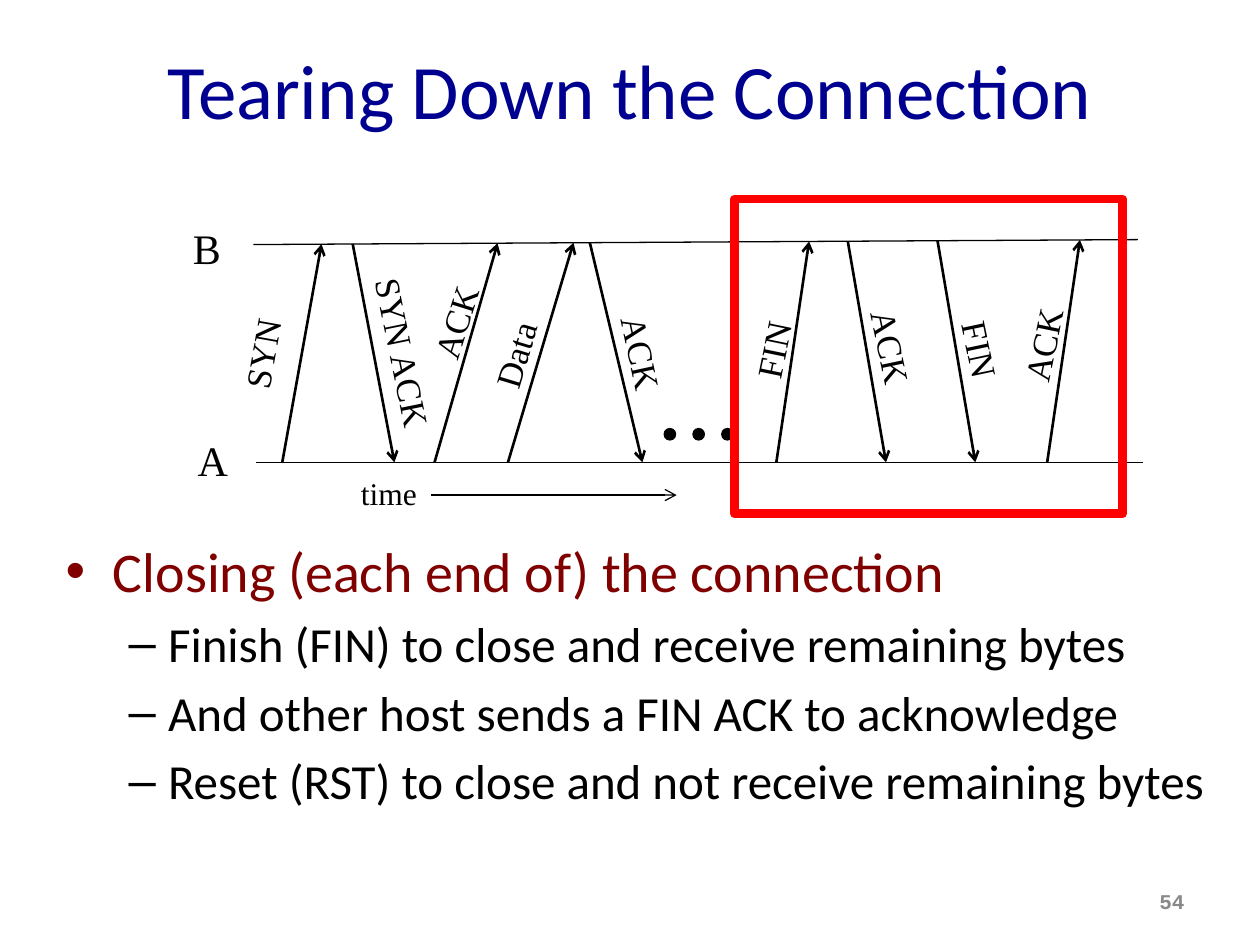
"""Build the slide on tearing down a TCP connection."""
from lxml.etree import SubElement
from pptx import Presentation
from pptx.dml.color import RGBColor
from pptx.enum.shapes import MSO_CONNECTOR, MSO_SHAPE
from pptx.enum.text import MSO_ANCHOR, MSO_AUTO_SIZE, PP_ALIGN
from pptx.oxml.ns import qn
from pptx.util import Cm, Pt

TITLE = "Tearing Down the Connection"
POINTS = [
    (0, "Closing (each end of) the connection"),
    (1, "Finish (FIN) to close and receive remaining bytes"),
    (1, "And other host sends a FIN ACK to acknowledge"),
    (1, "Reset (RST) to close and not receive remaining bytes"),
]
# label, sender, start x, end x, label centre x, label centre y, label angle
FLOWS = [
    ("SYN", "A", 5.69, 6.48, 5.28, 7.12, -79.9),
    ("SYN ACK", "B", 7.11, 7.95, 8.13, 7.1, 78.5),
    ("ACK", "A", 8.76, 10.03, 9.18, 6.49, -72.6),
    ("Data", "A", 10.24, 11.56, 10.38, 7.15, -73.3),
    ("ACK", "B", 11.89, 12.95, 12.94, 7.12, 77.9),
    ("FIN", "A", 15.65, 16.31, 15.58, 7.05, -78.4),
    ("ACK", "B", 17.09, 17.86, 17.97, 7, 78.1),
    ("FIN", "B", 18.9, 19.66, 19.77, 7.05, 78.1),
    ("ACK", "A", 21.11, 21.77, 21.02, 6.95, -78.4),
]
WIDTHS = {"SYN": 1.93, "SYN ACK": 3.61, "ACK": 2.01, "Data": 1.85, "FIN": 1.65}
HOSTS = {"B": ((5.11, 4.93), (22.94, 4.83)), "A": ((5.16, 9.32), (23.04, 9.32))}
MARKS = [("A", 4.29, 9.27, 1.12, 1.27, "host"),
         ("B", 4.17, 5, 1.07, 1.27, "host"),
         ("time", 7.84, 9.93, 1.65, 1.02, "time")]
CLOCK = ((8.69, 9.98), (13.64, 9.98))
DOTS = {"left": 13.39, "top": 8.64, "step": 0.58, "size": 0.23, "count": 3}
FRAME = (14.81, 4.01, 7.82, 6.35)
PAGE = "54"

THEME = {
    "sans": "Calibri", "serif": "Times New Roman", "mono": "Courier New",
    "navy": "000090", "maroon": "800000", "black": "000000",
    "grey": "898989", "red": "FF0000",
    "title": 44, "list": (32, 28), "host": 24, "flow": 20, "time": 18, "page": 12,
    "thin": 0.75, "bold": 1.5, "frame": 5,
}


def paint(name):
    return RGBColor.from_string(THEME[name])


def place(shape, *box):
    shape.left, shape.top, shape.width, shape.height = map(Cm, box)


def style(para, face, size, color, align=None):
    para.font.name, para.font.size = THEME[face], Pt(size)
    para.font.color.rgb = paint(color)
    para.alignment = align


def label(shapes, text, x, y, wide, high, size, angle=0):
    box = shapes.add_textbox(Cm(x - wide / 2), Cm(y - high / 2), Cm(wide), Cm(high))
    box.rotation = angle
    frame = box.text_frame
    frame.word_wrap, frame.vertical_anchor = False, MSO_ANCHOR.MIDDLE
    frame.text = text
    style(frame.paragraphs[0], "serif", THEME[size], "black", PP_ALIGN.CENTER)


def link(shapes, start, end, weight, arrow=False):
    line = shapes.add_connector(MSO_CONNECTOR.STRAIGHT, *map(Cm, (*start, *end)))
    line.line.color.rgb, line.line.width = paint("black"), Pt(THEME[weight])
    if arrow:
        SubElement(line.line._get_or_add_ln(), qn("a:tailEnd"), type="arrow")
    SubElement(line._element.spPr, qn("a:effectLst"))


def level(host, x):
    (left, top), (right, base) = HOSTS[host]
    return top + (base - top) * (x - left) / (right - left)


def words(slide):
    title, body = slide.shapes.title, slide.placeholders[1]
    place(title, 1.27, 0.2, 22.86, 3.18)
    title.text_frame.text = TITLE
    style(title.text_frame.paragraphs[0], "sans", THEME["title"], "navy", PP_ALIGN.CENTER)
    place(body, 1.07, 10.69, 23.5, 5.38)
    frame = body.text_frame
    frame.text = "\n".join(text for _, text in POINTS)
    frame.auto_size = MSO_AUTO_SIZE.NONE
    for para, (depth, _) in zip(frame.paragraphs, POINTS):
        para.level = depth
        style(para, "sans", THEME["list"][depth], ("maroon", "black")[depth])


def chart(shapes):
    for start, end in HOSTS.values():
        link(shapes, start, end, "thin")
    for text, host, begin, stop, x, y, angle in FLOWS:
        peer = "B" if host == "A" else "A"
        link(shapes, (begin, level(host, begin)), (stop, level(peer, stop)), "bold", True)
        label(shapes, text, x, y, WIDTHS[text], 1.09, "flow", angle)
    link(shapes, *CLOCK, "thin", True)
    for mark in MARKS:
        label(shapes, *mark)


def accents(shapes):
    for i in range(DOTS["count"]):
        spot = (DOTS["left"] + i * DOTS["step"], DOTS["top"], DOTS["size"], DOTS["size"])
        dot = shapes.add_shape(MSO_SHAPE.OVAL, *map(Cm, spot))
        dot.shadow.inherit = False
        dot.fill.solid()
        dot.fill.fore_color.rgb = dot.line.color.rgb = paint("black")
        dot.line.width = Pt(THEME["thin"])
    frame = shapes.add_shape(MSO_SHAPE.RECTANGLE, *map(Cm, FRAME))
    frame.shadow.inherit = False
    frame.fill.background()
    frame.line.color.rgb, frame.line.width = paint("red"), Pt(THEME["frame"])
    SubElement(frame.line._get_or_add_ln(), qn("a:round"))


def number(shapes):
    box = shapes.add_textbox(Cm(18.21), Cm(17.65), Cm(5.92), Cm(1.02))
    box.text_frame.word_wrap = True
    box.text_frame.vertical_anchor = MSO_ANCHOR.MIDDLE
    box.text_frame.text = PAGE
    para = box.text_frame.paragraphs[0]
    style(para, "mono", THEME["page"], "grey", PP_ALIGN.RIGHT)
    para.font.bold = True


def main():
    deck = Presentation()
    deck.slide_width, deck.slide_height = Cm(25.4), Cm(19.05)
    slide = deck.slides.add_slide(deck.slide_layouts[1])
    words(slide)
    chart(slide.shapes)
    number(slide.shapes)
    accents(slide.shapes)
    deck.save("out.pptx")


if __name__ == "__main__":
    main()
